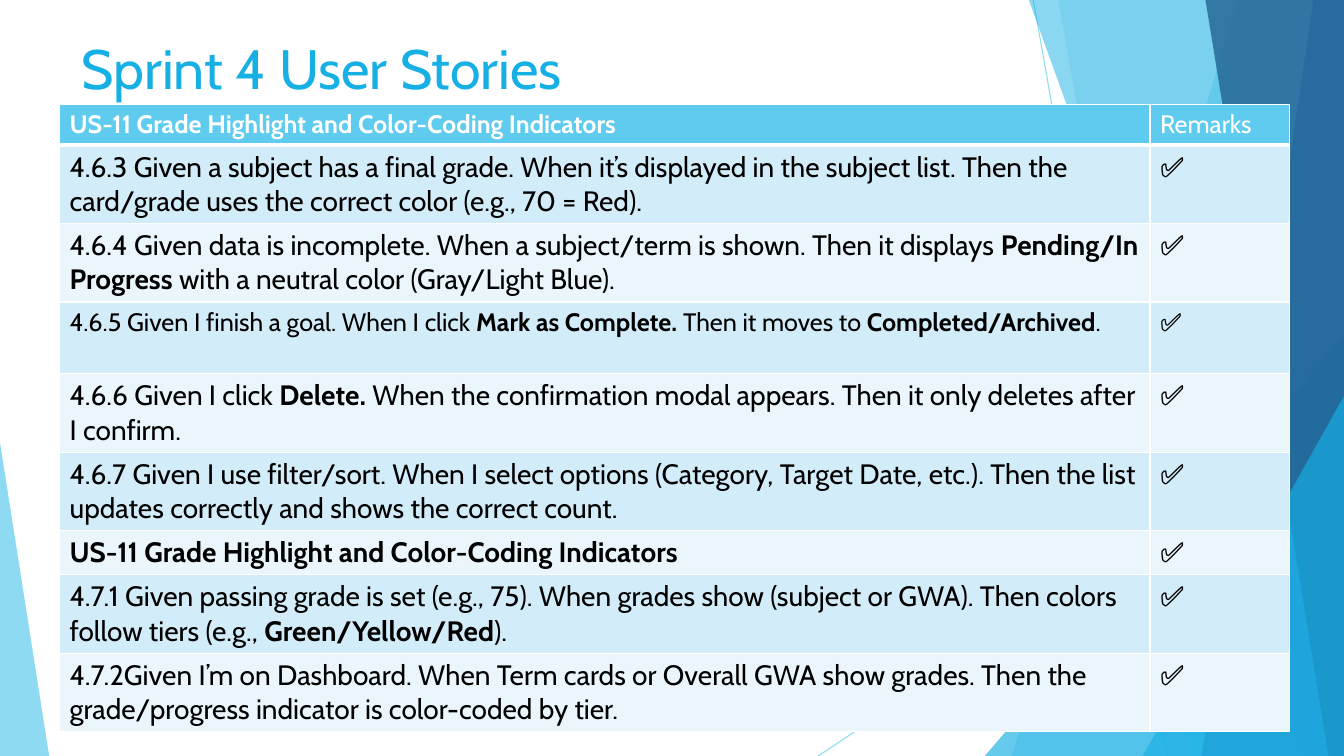
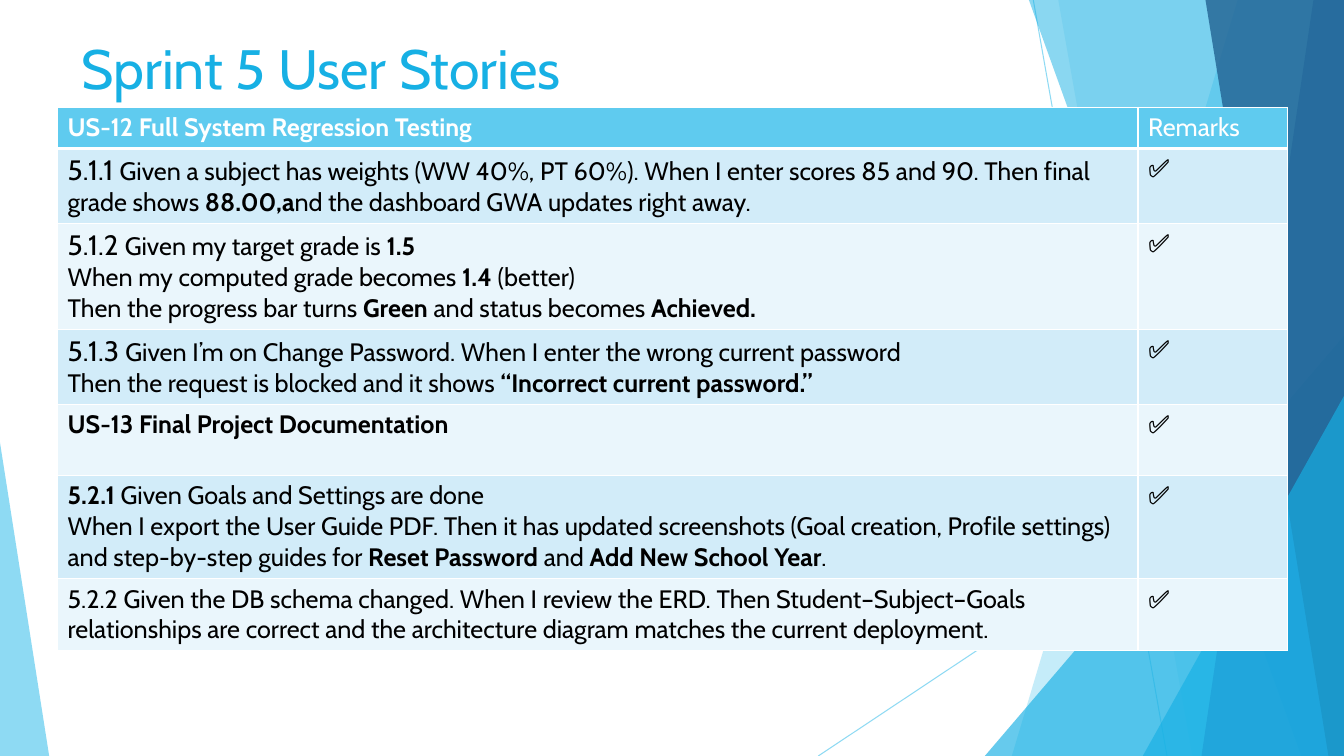
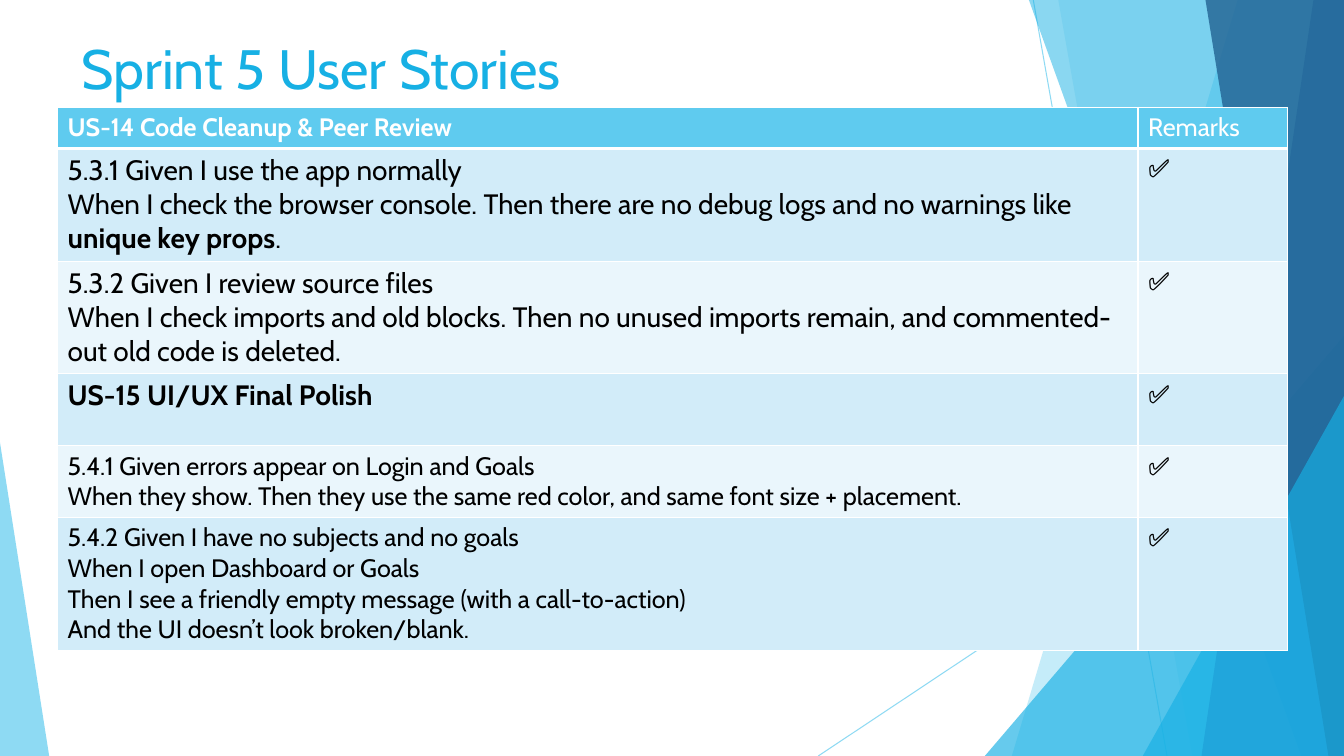
from lxml.etree import SubElement
from pptx import Presentation
from pptx.dml.color import RGBColor
from pptx.enum.shapes import MSO_CONNECTOR, MSO_SHAPE
from pptx.enum.text import MSO_ANCHOR, MSO_AUTO_SIZE, PP_ALIGN
from pptx.oxml.ns import qn
from pptx.util import Cm, Pt

FONT = "Cabin"
SKY, BLUE, STEEL, NAVY = "5FCBEF", "17B0E4", "2E83C3", "226292"
WHITE, BLACK = "FFFFFF", "000000"
ROW_FILLS = ["D2ECF9", "EAF6FC"]
WIDTH, HEIGHT = 33.87, 19.05


def paint(color_format, color, opacity=100):
    """Set a solid fill or line colour, or a font colour, with optional opacity in percent."""
    color_format.rgb = RGBColor.from_string(color)
    if opacity < 100:
        for node in color_format._xFill.iter(qn("a:srgbClr")):
            SubElement(node, qn("a:alpha"), val=str(opacity * 1000))


def write_line(paragraph, text, size, color):
    """Write one paragraph: **bold** marks, and an optional 20 pt lead before a bar."""
    paragraph.font.name = FONT
    paragraph.font.size = Pt(size)
    paint(paragraph.font.color, color)
    lead, _, body = text.rpartition("|")
    if lead:
        lead_run = paragraph.add_run()
        lead_run.text = lead
        lead_run.font.size = Pt(20)
    for index, part in enumerate(body.split("**")):
        if part:
            run = paragraph.add_run()
            run.text = part
            run.font.bold = index % 2 == 1


# Each story row: height in cm, text size, mark size, lines
sprints = [
    ("Sprint 4 User Stories", (1.5, 2.63), (27.48, 3.51), 1.03,
     "US-11 Grade Highlight and Color-Coding Indicators", [
         (1.97, 20, 20, ["4.6.3 Given a subject has a final grade. When it’s displayed in the subject list. "
                         "Then the card/grade uses the correct color (e.g., 70 = Red)."]),
         (1.97, 20, 20, ["4.6.4 Given data is incomplete. When a subject/term is shown. Then it displays "
                         "**Pending/In Progress** with a neutral color (Gray/Light Blue)."]),
         (1.81, 18, 18, ["4.6.5 Given I finish a goal. When I click **Mark as Complete. **Then it moves to "
                         "**Completed/Archived**."]),
         (1.97, 20, 20, ["4.6.6 Given I click **Delete. **When the confirmation modal appears. "
                         "Then it only deletes after I confirm."]),
         (1.97, 20, 20, ["4.6.7 Given I use filter/sort. When I select options (Category, Target Date, etc.). "
                         "Then the list updates correctly and shows the correct count."]),
         (1.11, 20, 20, ["**US-11 Grade Highlight and Color-Coding Indicators**"]),
         (1.97, 20, 20, ["4.7.1 Given passing grade is set (e.g., 75). When grades show (subject or GWA). "
                         "Then colors follow tiers (e.g., **Green/Yellow/Red**)."]),
         (1.97, 20, 20, ["4.7.2Given I’m on Dashboard. When Term cards or Overall GWA show grades. "
                         "Then the grade/progress indicator is color-coded by tier."]),
     ]),
    ("Sprint 5 User Stories", (1.45, 2.71), (27.23, 3.76), 1.03,
     "US-12 Full System Regression Testing", [
         (1.89, 18, 18, ["5.1.1 |Given a subject has weights (WW 40%, PT 60%). When I enter scores 85 and 90. "
                         "Then final grade shows **88.00,a**nd the dashboard GWA updates right away."]),
         (2.67, 18, 18, ["5.1.2 |Given my target grade is **1.5**",
                         "When my computed grade becomes **1.4** (better)",
                         "Then the progress bar turns **Green **and status becomes **Achieved.**"]),
         (1.89, 18, 18, ["5.1.3 |Given I’m on Change Password. When I enter the wrong current password",
                         "Then the request is blocked and it shows **“Incorrect current password.”**"]),
         (1.79, 18, 18, ["**US-13 Final Project Documentation**"]),
         (2.6, 18, 18, ["**5.2.1 **Given Goals and Settings are done",
                        "When I export the User Guide PDF. Then it has updated screenshots (Goal creation, "
                        "Profile settings) and step-by-step guides for **Reset Password** and "
                        "**Add New School Year**."]),
         (1.79, 18, 18, ["5.2.2 Given the DB schema changed. When I review the ERD. Then "
                         "Student–Subject–Goals relationships are correct and the architecture diagram "
                         "matches the current deployment."]),
     ]),
    ("Sprint 5 User Stories", (1.45, 2.71), (27.23, 3.76), 1.03,
     "US-14 Code Cleanup & Peer Review", [
         (2.84, 20, 18, ["5.3.1 Given I use the app normally",
                         "When I check the browser console. Then there are no debug logs and no warnings like "
                         "**unique key props**."]),
         (2.84, 20, 18, ["5.3.2 Given I review source files",
                         "When I check imports and old blocks. Then no unused imports remain, and "
                         "commented-out old code is deleted."]),
         (1.81, 20, 18, ["**US-15 UI/UX Final Polish**"]),
         (1.79, 18, 18, ["5.4.1 Given errors appear on Login and Goals",
                         "When they show. Then they use the same red color, and same font size + placement."]),
         (3.35, 18, 18, ["5.4.2 Given I have no subjects and no goals",
                         "When I open Dashboard or Goals",
                         "Then I see a friendly empty message (with a call-to-action)",
                         "And the UI doesn’t look broken/blank."]),
     ]),
]

prs = Presentation()
prs.slide_width, prs.slide_height = Cm(WIDTH), Cm(HEIGHT)
layout = prs.slide_layouts[5]
slides = [prs.slides.add_slide(layout) for _ in sprints]

# Facets are drawn on the first slide, then moved to the shared layout
canvas = slides[0].shapes
facets = []
for x1, y1, x2, y2 in [(26.04, 0, 29.41, HEIGHT), (WIDTH, 10.24, 20.62, HEIGHT)]:
    ray = canvas.add_connector(MSO_CONNECTOR.STRAIGHT, Cm(x1), Cm(y1), Cm(x2), Cm(y2))
    ray.line.width = Pt(0.75)
    ray.line.fill.solid()
    facets.append((ray, ray.line.fill, SKY, 70))

# Bands run from a top x and a bottom x to the right edge; triangles have a box and a peak
for kind, place, color, opacity in [
    ("band", (31.19, 25.5), SKY, 36),
    ("band", (26.67, 30.05), SKY, 20),
    ("triangle", (24.82, 8.46, 9.05, 10.59, 1), BLUE, 66),
    ("band", (25.93, 32.79), BLUE, 50),
    ("band", (33.1, 30.28), STEEL, 70),
    ("band", (30.38, 33.48), NAVY, 80),
    ("triangle", (28.8, 9.98, 5.07, 9.07, 1), BLUE, 66),
    ("triangle", (0, 11.15, 1.24, 7.9, 0), SKY, 70),
]:
    if kind == "band":
        top_x, bottom_x = place
        outline = canvas.build_freeform(Cm(top_x), 0)
        outline.add_line_segments([(Cm(WIDTH), 0), (Cm(WIDTH), Cm(HEIGHT)), (Cm(bottom_x), Cm(HEIGHT))])
        facet = outline.convert_to_shape()
    else:
        *box, peak = place
        facet = canvas.add_shape(MSO_SHAPE.ISOSCELES_TRIANGLE, *map(Cm, box))
        facet.adjustments[0] = peak
    facet.shadow.inherit = False
    facet.line.fill.background()
    facet.fill.solid()
    facets.append((facet, facet.fill, color, opacity))

for facet, fill, color, opacity in facets:
    fill.fore_color.rgb = RGBColor.from_string(color)
    properties = facet.element.spPr
    SubElement(next(properties.iter(qn("a:srgbClr"))), qn("a:alpha"), val=str(opacity * 1000))
    if properties.find(qn("a:effectLst")) is None:
        SubElement(properties, qn("a:effectLst"))
    layout.shapes.element.append(facet.element)

for slide, (heading, corner, column_widths, header_height, story, rows) in zip(slides, sprints):
    title = slide.shapes.title
    title.left, title.top, title.width, title.height = Cm(1.8), Cm(1.27), Cm(30.66), Cm(0.84)
    title.text_frame.auto_size = MSO_AUTO_SIZE.NONE
    title.text_frame.vertical_anchor = MSO_ANCHOR.MIDDLE
    title.text_frame.paragraphs[0].alignment = PP_ALIGN.LEFT
    write_line(title.text_frame.paragraphs[0], heading, 39.6, BLUE)

    heights = [header_height] + [row[0] for row in rows]
    table = slide.shapes.add_table(len(heights), 2, Cm(corner[0]), Cm(corner[1]),
                                   Cm(sum(column_widths)), Cm(sum(heights))).table
    for column, width in zip(table.columns, column_widths):
        column.width = Cm(width)
    for table_row, height in zip(table.rows, heights):
        table_row.height = Cm(height)

    contents = [([f"**{story}**"], 18, ["Remarks"], 18)]
    contents += [(lines, size, ["✅"], mark_size) for _, size, mark_size, lines in rows]
    for row_index, (lines, size, remark, remark_size) in enumerate(contents):
        is_header = row_index == 0
        for column_index, (texts, text_size) in enumerate([(lines, size), (remark, remark_size)]):
            cell = table.cell(row_index, column_index)
            for index, text in enumerate(texts):
                paragraph = cell.text_frame.add_paragraph() if index else cell.text_frame.paragraphs[0]
                write_line(paragraph, text, text_size, WHITE if is_header else BLACK)
            for side in ("lnL", "lnR", "lnT", "lnB"):
                thick = (is_header and side == "lnB") or (row_index == 1 and side == "lnT")
                border = SubElement(cell._tc.get_or_add_tcPr(), qn(f"a:{side}"), w=str(Pt(3 if thick else 1)))
                SubElement(SubElement(border, qn("a:solidFill")), qn("a:srgbClr"), val=WHITE)
            cell.fill.solid()
            paint(cell.fill.fore_color, SKY if is_header else ROW_FILLS[(row_index - 1) % 2])

prs.save("out.pptx")
